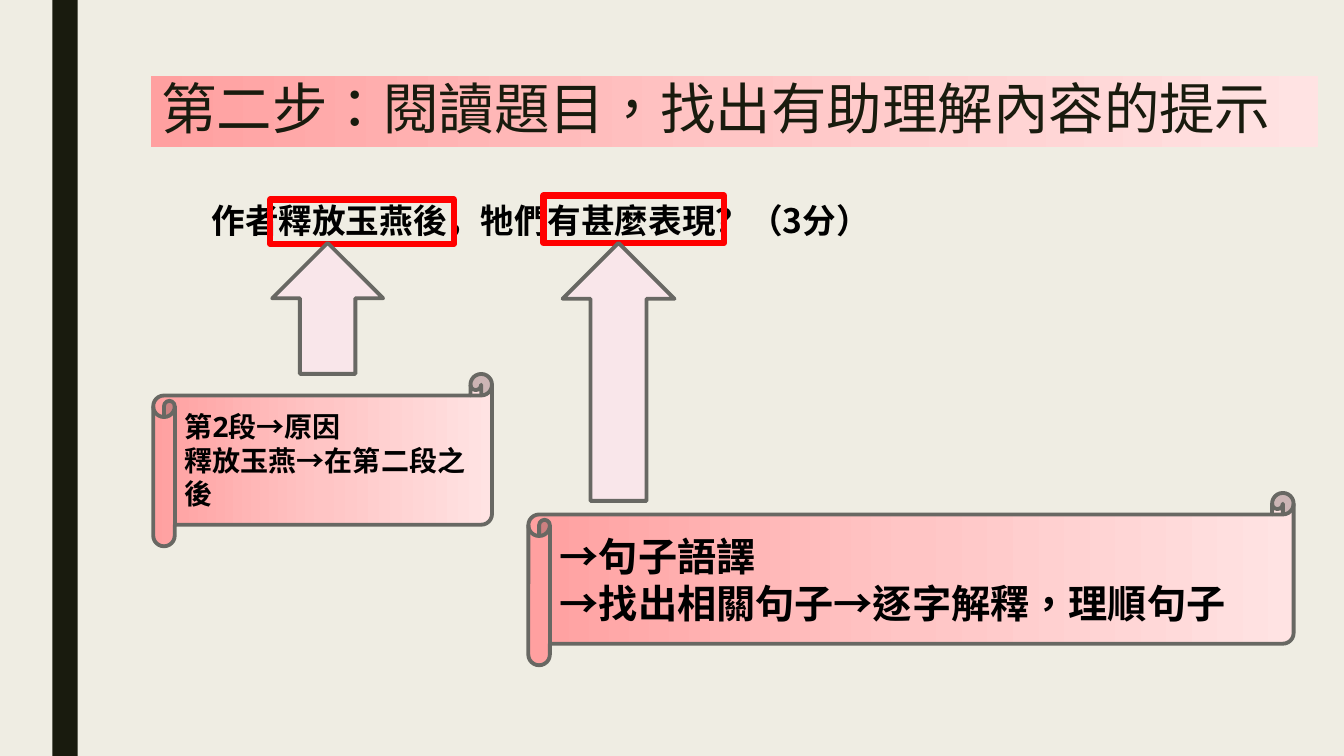
from copy import deepcopy

from lxml import etree
from pptx import Presentation
from pptx.dml.color import RGBColor
from pptx.enum.lang import MSO_LANGUAGE_ID
from pptx.enum.shapes import MSO_SHAPE
from pptx.enum.text import MSO_ANCHOR, MSO_AUTO_SIZE, PP_ALIGN
from pptx.oxml.ns import qn
from pptx.util import Inches, Pt

RECTANGLE = MSO_SHAPE.RECTANGLE
UP_ARROW = MSO_SHAPE.UP_ARROW
SCROLL = MSO_SHAPE.HORIZONTAL_SCROLL
TOP, MIDDLE = MSO_ANCHOR.TOP, MSO_ANCHOR.MIDDLE
LEFT = PP_ALIGN.LEFT
NO_AUTOFIT = MSO_AUTO_SIZE.NONE
TAIWAN = MSO_LANGUAGE_ID.TAIWAN if hasattr(MSO_LANGUAGE_ID, "TAIWAN") else MSO_LANGUAGE_ID.TRADITIONAL_CHINESE

CREAM = RGBColor(0xEF, 0xED, 0xE3)
DARK = RGBColor(0x19, 0x1B, 0x0E)
BLACK = RGBColor(0, 0, 0)
RED = RGBColor(0xFF, 0, 0)
GREY = RGBColor(0x68, 0x68, 0x63)
PALE_PINK = RGBColor(0xF9, 0xE6, 0xEA)
PINK_STOPS = [
    (0, RGBColor(0xFF, 0xA0, 0xA0)),
    (0.5, RGBColor(0xFF, 0xC5, 0xC5)),
    (1, RGBColor(0xFF, 0xE3, 0xE3)),
]

TC_FONT, SC_FONT, LATIN_FONT = "Noto Sans CJK TC", "Noto Sans CJK SC", "Noto Sans"

TITLE = "第二步：閱讀題目，找出有助理解內容的提示"
QUESTION = "作者釋放玉燕後，牠們有甚麼表現？（3分）"
KEY_PHRASE_BOXES = [(2.68, 1.98, 1.82, 0.44), (5.39, 1.94, 1.79, 0.47)]
ARROWS = [(2.7, 2.41, 1.1, 1.3), (5.58, 2.41, 1.11, 2.56)]
HINTS = [
    ((1.52, 3.71, 3.36, 1.71), ["第2段→原因", "釋放玉燕→在第二段之後"], LATIN_FONT, 20),
    ((5.24, 4.89, 7.59, 1.71), ["→句子語譯", "→找出相關句子→逐字解釋，理順句子"], SC_FONT, 28),
]


def fill_pink(shape):
    shape.fill.gradient()
    shape.fill.gradient_angle = 0
    stops = shape._element.spPr.find(qn("a:gradFill")).find(qn("a:gsLst"))
    stops.append(deepcopy(stops[-1]))
    for stop, (position, color) in zip(shape.fill.gradient_stops, PINK_STOPS):
        stop.position = position
        stop.color.rgb = color


def add_shape(slide, kind, box, fill=None, line=None, width=0):
    shape = slide.shapes.add_shape(kind, *map(Inches, box))
    shape.shadow.inherit = False
    if fill is None:
        shape.fill.background()
    else:
        shape.fill.solid()
        shape.fill.fore_color.rgb = fill
    if line is None:
        shape.line.fill.background()
    else:
        shape.line.color.rgb = line
        shape.line.width = Pt(width)
    return shape


def write(shape, lines, font_name, size, color, bold, spacing, anchor, language=None):
    frame = shape.text_frame
    frame.text = "\n".join(lines)
    frame.word_wrap = True
    frame.auto_size = NO_AUTOFIT
    frame.vertical_anchor = anchor
    for paragraph in frame.paragraphs:
        paragraph.alignment = LEFT
        paragraph.line_spacing = spacing
        font = paragraph.font
        font.size = Pt(size)
        font.bold = bold
        font.color.rgb = color
        font.name = font_name
        asian_font = TC_FONT if font_name == LATIN_FONT else font_name
        properties = paragraph._p.pPr.find(qn("a:defRPr"))
        etree.SubElement(properties, qn("a:ea"), typeface=asian_font)
        if language is not None:
            for run in paragraph.runs:
                run.font.language_id = language


presentation = Presentation()
presentation.slide_width = Inches(13.33)
presentation.slide_height = Inches(7.5)
slide = presentation.slides.add_slide(presentation.slide_layouts[5])
slide.background.fill.solid()
slide.background.fill.fore_color.rgb = CREAM

add_shape(slide, RECTANGLE, (0.52, 0, 0.25, 7.5), DARK)

title = slide.shapes.title
title.left, title.top, title.width, title.height = map(Inches, (1.5, 0.75, 11.57, 0.71))
fill_pink(title)
write(title, [TITLE], SC_FONT, 39.6, DARK, False, 0.89, MIDDLE, TAIWAN)
title.text_frame.margin_top = title.text_frame.margin_bottom = 0

question = slide.shapes.add_textbox(*map(Inches, (2, 1.91, 6.77, 0.5)))
write(question, [QUESTION], TC_FONT, 24, BLACK, True, Pt(28.5), TOP)
question.text_frame.margin_top = Inches(0.08)

for box in KEY_PHRASE_BOXES:
    add_shape(slide, RECTANGLE, box, None, RED, 4.5)

for box in ARROWS:
    add_shape(slide, UP_ARROW, box, PALE_PINK, GREY, 2.75)

for box, lines, font_name, size in HINTS:
    scroll = add_shape(slide, SCROLL, box, None, GREY, 2.75)
    fill_pink(scroll)
    write(scroll, lines, font_name, size, BLACK, True, Pt(size * 1.2), MIDDLE, TAIWAN)

presentation.save("out.pptx")
